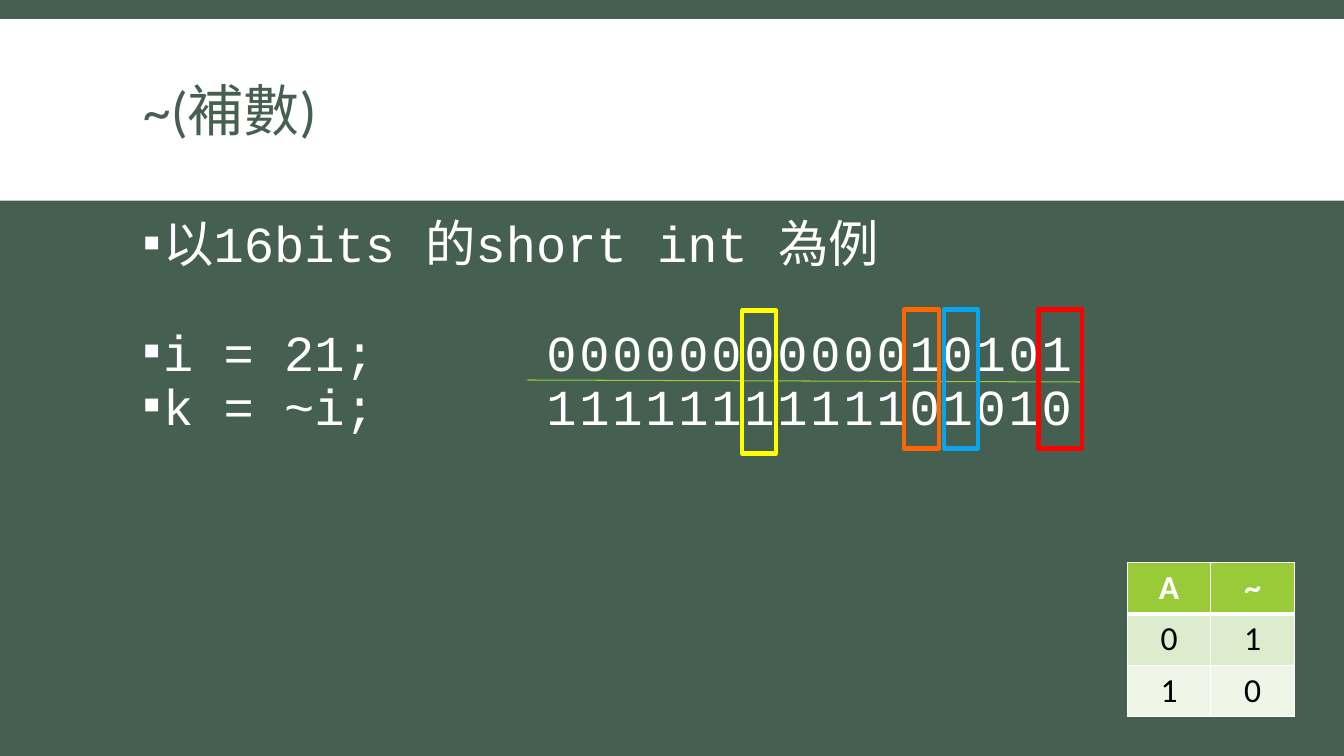
from lxml.etree import SubElement
from pptx import Presentation
from pptx.dml.color import RGBColor
from pptx.enum.shapes import MSO_CONNECTOR as Connector, MSO_SHAPE as Shape
from pptx.enum.text import MSO_ANCHOR as Anchor, PP_ALIGN as Align
from pptx.oxml.ns import qn
from pptx.util import Inches, Pt

COLORS = {
    "green": "455F51", "white": "FFFFFF", "black": "000000", "lime": "99CB38",
    "row_dark": "DEECCE", "row_light": "EFF6E8", "red": "FF0000",
    "blue": "08A5EF", "yellow": "FFFF00", "orange": "FF6600",
}


def rgb(name):
    return RGBColor.from_string(COLORS[name])


def add_run(paragraph, text, size=36, font="Courier New", color="white",
            bold=False, spacing=0):
    run = paragraph.add_run()
    run.text = text
    run.font.size = Pt(size)
    run.font.name = font
    run.font.bold = bold
    run.font.color.rgb = rgb(color)
    if spacing:
        run.font._element.set("spc", str(spacing * 100))


def add_text_frame(slide, left, top, width, height, anchor):
    frame = slide.shapes.add_textbox(
        Inches(left), Inches(top), Inches(width), Inches(height)).text_frame
    frame.word_wrap = True
    frame.vertical_anchor = anchor
    return frame


def add_bullet(paragraph, space_before=4):
    paragraph.line_spacing = 0.75
    paragraph.space_before = Pt(space_before)
    paragraph.space_after = Pt(2)
    properties = paragraph._p.get_or_add_pPr()
    properties.set("marL", str(Inches(0.2)))
    properties.set("indent", str(-Inches(0.2)))
    # Tab grid that aligns the bit patterns
    properties.set("defTabSz", str(Inches(1)))
    bullet_color = SubElement(properties, qn("a:buClr"))
    SubElement(bullet_color, qn("a:srgbClr"), val=COLORS["white"])
    SubElement(properties, qn("a:buFont"), typeface="Calibri")
    SubElement(properties, qn("a:buChar"), char="▪")


def add_box(slide, left, top, width, height, fill=None, line=None):
    shape = slide.shapes.add_shape(
        Shape.RECTANGLE, Inches(left), Inches(top), Inches(width), Inches(height))
    shape.shadow.inherit = False
    if fill:
        shape.fill.solid()
        shape.fill.fore_color.rgb = rgb(fill)
    else:
        shape.fill.background()
    if line:
        shape.line.color.rgb = rgb(line)
        shape.line.width = Pt(3)
    else:
        shape.line.fill.background()


def add_line(slide, start, end, color):
    line = slide.shapes.add_connector(
        Connector.STRAIGHT, *(Inches(value) for value in start + end))
    line.line.color.rgb = rgb(color)
    line.line.width = Pt(0.75)
    SubElement(line._element.spPr, qn("a:effectLst"))


def set_borders(cell, **widths):
    properties = cell._tc.get_or_add_tcPr()
    for side in "LRTB":
        border = SubElement(properties, qn(f"a:ln{side}"),
                            w=str(Pt(widths.get(side, 1))))
        fill = SubElement(border, qn("a:solidFill"))
        SubElement(fill, qn("a:srgbClr"), val=COLORS["white"])


def add_truth_table(slide, rows):
    table = slide.shapes.add_table(
        len(rows), 2, Inches(11.18), Inches(5.58), Inches(1.66), Inches(1.53)).table
    fills = ("lime", "row_dark", "row_light")
    for row_index, values in enumerate(rows):
        header = row_index == 0
        for column_index, value in enumerate(values):
            cell = table.cell(row_index, column_index)
            set_borders(cell, T=3 if row_index == 1 else 1, B=3 if header else 1)
            cell.fill.solid()
            cell.fill.fore_color.rgb = rgb(fills[row_index])
            cell.vertical_anchor = Anchor.MIDDLE
            paragraph = cell.text_frame.paragraphs[0]
            paragraph.alignment = Align.CENTER
            add_run(paragraph, value, size=24, font="Calibri", bold=header,
                    color="white" if header else "black")


def main():
    presentation = Presentation()
    presentation.slide_width = Inches(13.33)
    presentation.slide_height = Inches(7.5)
    slide = presentation.slides.add_slide(presentation.slide_layouts[6])
    slide.background.fill.solid()
    slide.background.fill.fore_color.rgb = rgb("green")

    # Title band
    add_box(slide, 0, 0.19, 13.33, 1.8, fill="white")
    title = add_text_frame(slide, 1.32, 0.31, 10.7, 1.65, Anchor.MIDDLE).paragraphs[0]
    title.line_spacing = 0.85
    add_run(title, "~(補數)", size=40, font="Calibri", color="green")

    # Example with both bit patterns
    body = add_text_frame(slide, 1.32, 2.2, 10.7, 4.6, Anchor.TOP)
    intro = body.paragraphs[0]
    add_bullet(intro)
    add_run(intro, "以16bits 的short int 為例")
    for code, bits, space_before in (("i = 21;", "0000000000010101", 43),
                                     ("k = ~i;", "1111111111101010", 4)):
        paragraph = body.add_paragraph()
        add_bullet(paragraph, space_before)
        add_run(paragraph, code + "\t\t")
        add_run(paragraph, bits, spacing=2)

    # Separator and highlighted bit columns
    add_line(slide, (5.23, 3.77), (10.74, 3.79), "lime")
    for left, top, width, height, color in (
            (10.3, 3.07, 0.43, 1.38, "red"), (9.36, 3.07, 0.34, 1.38, "blue"),
            (7.36, 3.08, 0.34, 1.42, "yellow"), (8.97, 3.07, 0.34, 1.38, "orange")):
        add_box(slide, left, top, width, height, line=color)

    # Truth table
    add_truth_table(slide, (("A", "~"), ("0", "1"), ("1", "0")))
    presentation.save("out.pptx")


if __name__ == "__main__":
    main()
